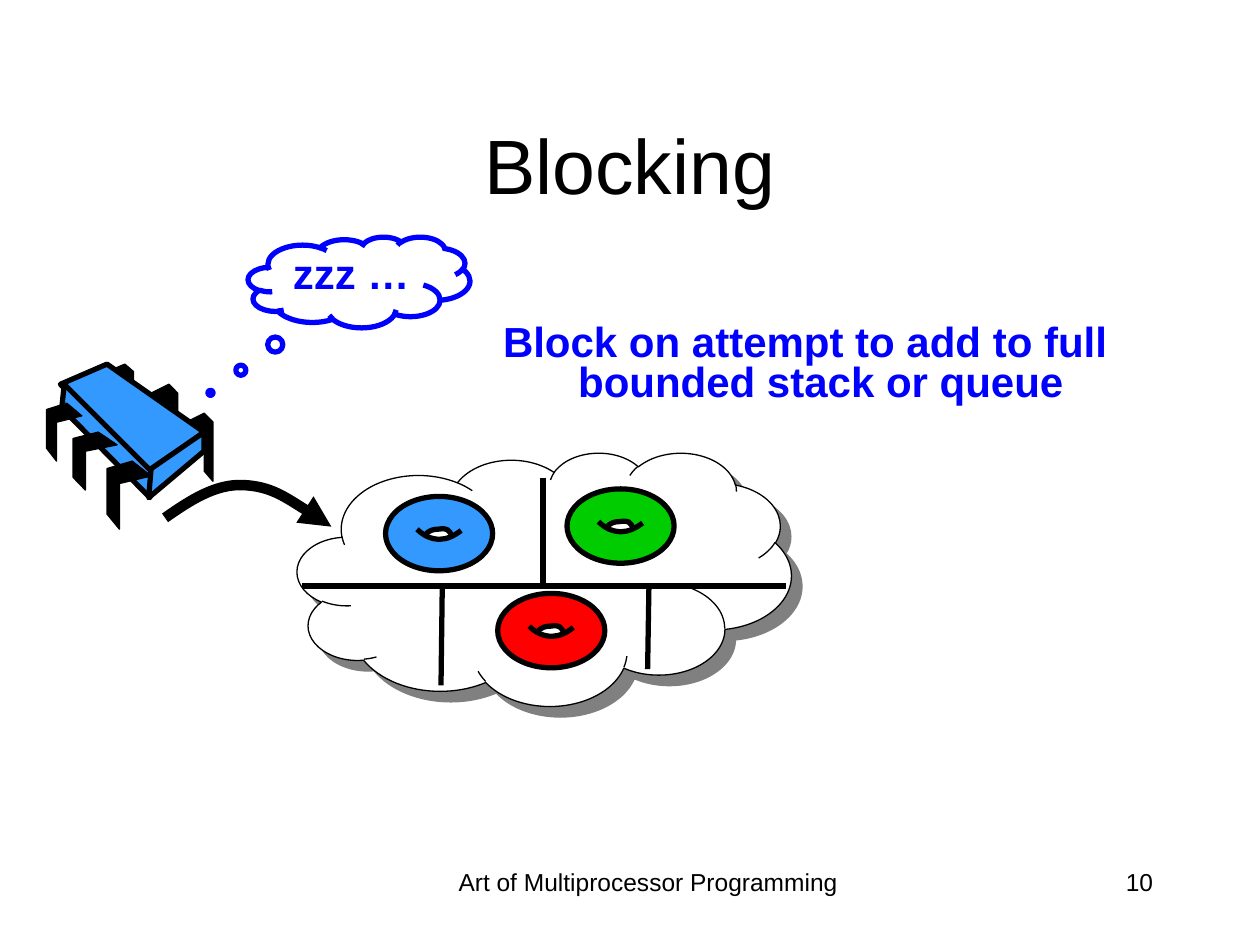
from lxml.etree import SubElement
from pptx import Presentation
from pptx.dml.color import RGBColor
from pptx.enum.shapes import MSO_CONNECTOR, MSO_SHAPE
from pptx.enum.text import MSO_ANCHOR, MSO_AUTO_SIZE, PP_ALIGN
from pptx.oxml.ns import qn
from pptx.util import Inches, Pt

COLORS = {
    "black": "000000", "white": "FFFFFF", "chip": "3399FF",
    "red": "FF0000", "green": "00CC00", "note": "0000FF", "shadow": "808080",
}
FONT = "Arial"

# Text: wording, box, size, alignment, anchor
LABELS = [
    ("Art of Multiprocessor Programming", (3.42, 6.83, 3.45, 0.5), 14,
     PP_ALIGN.CENTER, MSO_ANCHOR.TOP),
    ("10", (7.17, 6.83, 2.08, 0.5), 14, PP_ALIGN.RIGHT, MSO_ANCHOR.TOP),
    ("Blocking", (0.75, 0.67, 8.5, 1.25), 44, PP_ALIGN.CENTER, MSO_ANCHOR.MIDDLE),
]
THOUGHT = ("zzz …", (1.97, 1.88, 1.76, 0.72), (-0.67, 1.219))
EXPLANATION = ("Block on attempt to add to full bounded stack or queue",
               (3.89, 2.53, 5, 0.74))

# Chip: leg outlines as fractions of their boxes, faces in inches
BACK_LEG = [(0, 0.13), (0.67, 0), (1, 0.13), (1, 1), (0.67, 0.85),
            (0.67, 0.28), (0, 0.43)]
FRONT_LEG = [(0.57, 0), (1, 0.22), (0.28, 0.33), (0.28, 1), (0, 0.78), (0, 0.11)]
BACK_LEG_BOXES = [(1.48, 3.28, 0.21, 0.54), (1.2, 3.05, 0.21, 0.54),
                  (0.85, 2.89, 0.21, 0.46)]
FRONT_LEG_BOXES = [(0.85, 3.66, 0.35, 0.54), (0.58, 3.43, 0.35, 0.46),
                   (0.37, 3.2, 0.28, 0.46)]
CHIP_FACES = [
    [(0.85, 2.89), (1.62, 3.43), (1.19, 3.75), (0.48, 3.05)],
    [(0.51, 3.05), (1.2, 3.74), (1.19, 3.95), (0.49, 3.24)],
    [(1.62, 3.43), (1.62, 3.58), (1.18, 3.95), (1.2, 3.72)],
]

# Pool of items: donuts, and dividers between the slots
POOL_BOX = (2.36, 3.59, 3.92, 2.01)
DONUT_SIZE = (0.85, 0.59)
DONUTS = [((3.06, 3.94), "chip"), ((3.95, 4.71), "red"), ((4.5, 3.88), "green")]
DIVIDERS = [((4.31, 3.79), (4.31, 4.64)), ((2.4, 4.65), (6.24, 4.65)),
            ((3.51, 4.67), (3.5, 5.44)), ((5.15, 4.67), (5.14, 5.31))]

# Curves: a start, then three points for each Bezier piece
HOLE = [(0.32, 0.31), (0.38, 0.34), (0.48, 0.36), (0.53, 0.32),
        (0.51, 0.31), (0.5, 0.26), (0.46, 0.26),
        (0.4, 0.26), (0.31, 0.28), (0.32, 0.31)]
UPPER_LIP = [(0.31, 0.31), (0.34, 0.27), (0.38, 0.26), (0.42, 0.26),
             (0.49, 0.25), (0.5, 0.26), (0.53, 0.32)]
LOWER_LIP = [(0.25, 0.26), (0.3, 0.31), (0.36, 0.34), (0.43, 0.34),
             (0.49, 0.34), (0.55, 0.31), (0.6, 0.27)]
ADD_ARROW = [(1.31, 4.11), (1.51, 3.97), (1.71, 3.84), (1.93, 3.85),
             (2.15, 3.86), (2.39, 4.02), (2.63, 4.18)]


def rgb(name):
    return RGBColor.from_string(COLORS[name])


def style(shape, fill, line="black", width=3):
    shape.shadow.inherit = False
    if fill:
        shape.fill.solid()
        shape.fill.fore_color.rgb = rgb(fill)
    else:
        shape.fill.background()
    shape.line.color.rgb = rgb(line)
    shape.line.width = Pt(width)
    return shape


def preset(shapes, kind, box, fill, **line):
    return style(shapes.add_shape(kind, *map(Inches, box)), fill, **line)


def outline(shapes, points, closed):
    start, *rest = [(Inches(x), Inches(y)) for x, y in points]
    builder = shapes.build_freeform(*start)
    builder.add_line_segments(rest, close=closed)
    return builder.convert_to_shape()


def polygon(shapes, points, fill, **line):
    return style(outline(shapes, points, True), fill, **line)


def curve(shapes, points, fill=None, **line):
    """Turn each three line steps into one cubic Bezier piece."""
    shape = outline(shapes, points, bool(fill))
    steps = list(shape.element.iter(qn("a:lnTo")))
    for i in range(0, len(points) - 1, 3):
        piece = steps[i]
        piece.tag = qn("a:cubicBezTo")
        for step in steps[i + 1:i + 3]:
            piece.append(step[0])
            step.getparent().remove(step)
    return style(shape, fill, **line)


def legs(shapes, profile, boxes):
    for x, y, w, h in boxes:
        points = [(x + fx * w, y + fy * h) for fx, fy in profile]
        polygon(shapes, points, "black", width=0.75)


def write(shape, text, size, align=PP_ALIGN.CENTER, anchor=MSO_ANCHOR.TOP,
          color="black", bold=False):
    frame = shape.text_frame
    frame.word_wrap = True
    frame.vertical_anchor = anchor
    paragraph = frame.paragraphs[0]
    paragraph.alignment = align
    run = paragraph.add_run()
    run.text = text
    run.font.name, run.font.size, run.font.bold = FONT, Pt(size), bold
    run.font.color.rgb = rgb(color)
    return paragraph


def write_note(shape, text):
    paragraph = write(shape, text, 24, color="note", bold=True)
    paragraph.line_spacing = 0.8
    paragraph.space_before = Pt(6)
    properties = paragraph._p.get_or_add_pPr()
    properties.set("marL", str(Inches(0.25)))
    properties.set("indent", str(-Inches(0.25)))


prs = Presentation()
prs.slide_width, prs.slide_height = Inches(10), Inches(7.5)
slide = prs.slides.add_slide(prs.slide_layouts[6])
shapes = slide.shapes

# Title and footer
for text, box, size, align, anchor in LABELS:
    write(shapes.add_textbox(*map(Inches, box)), text, size, align, anchor)

# Sleeping processor chip
chip = shapes.add_group_shape().shapes
legs(chip, BACK_LEG, BACK_LEG_BOXES)
for face in CHIP_FACES:
    polygon(chip, face, "chip")
legs(chip, FRONT_LEG, FRONT_LEG_BOXES)

# Thought bubble
text, box, pointer = THOUGHT
thought = preset(shapes, MSO_SHAPE.CLOUD_CALLOUT, box, "white", line="note")
for i, value in enumerate(pointer):
    thought.adjustments[i] = value
write_note(thought, text)

# Pool cloud with its hard shadow
pool = preset(shapes, MSO_SHAPE.CLOUD, POOL_BOX, "white", width=0.75)
effects = pool.element.spPr.find(qn("a:effectLst"))
shadow = SubElement(effects, qn("a:outerShdw"), blurRad="0", dist=str(Pt(8.5)),
                    dir=str(45 * 60000), algn="ctr", rotWithShape="0")
SubElement(shadow, qn("a:srgbClr"), val=COLORS["shadow"])

# Donuts
for (left, top), color in DONUTS:
    donut = shapes.add_group_shape().shapes
    preset(donut, MSO_SHAPE.OVAL, (left, top, *DONUT_SIZE), color)
    for points, fill, width in ((HOLE, "white", 0.75), (UPPER_LIP, None, 3),
                                (LOWER_LIP, None, 3)):
        placed = [(left + x, top + y) for x, y in points]
        curve(donut, placed, fill, width=width)

# Slot dividers
for start, end in DIVIDERS:
    divider = shapes.add_connector(MSO_CONNECTOR.STRAIGHT,
                                   *map(Inches, start + end))
    divider.line.color.rgb = rgb("black")
    divider.line.width = Pt(3)
    SubElement(divider.element.spPr, qn("a:effectLst"))

# Explanation
text, box = EXPLANATION
explanation = shapes.add_textbox(*map(Inches, box))
write_note(explanation, text)
explanation.text_frame.auto_size = MSO_AUTO_SIZE.SHAPE_TO_FIT_TEXT

# Arrow from the chip to the pool
add_arrow = curve(shapes, ADD_ARROW, width=6)
SubElement(add_arrow.line._get_or_add_ln(), qn("a:tailEnd"), type="triangle")

prs.save("out.pptx")
